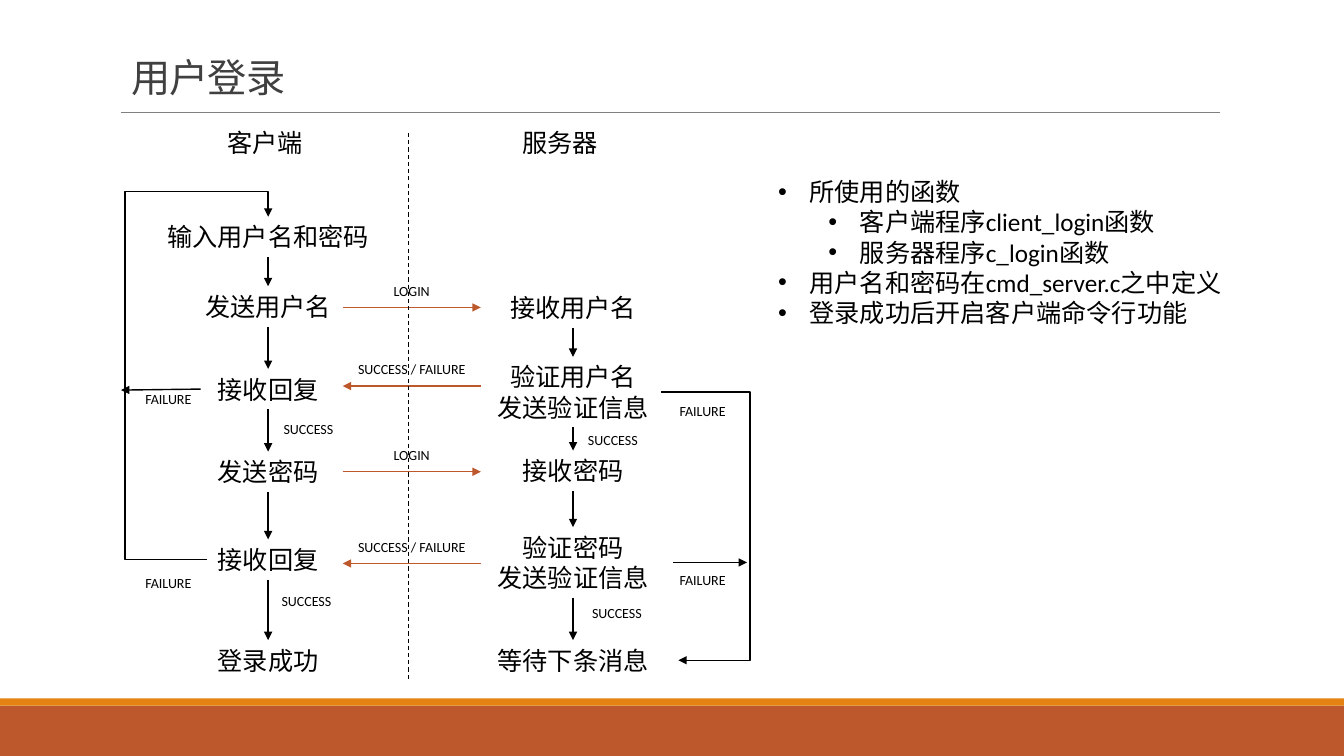
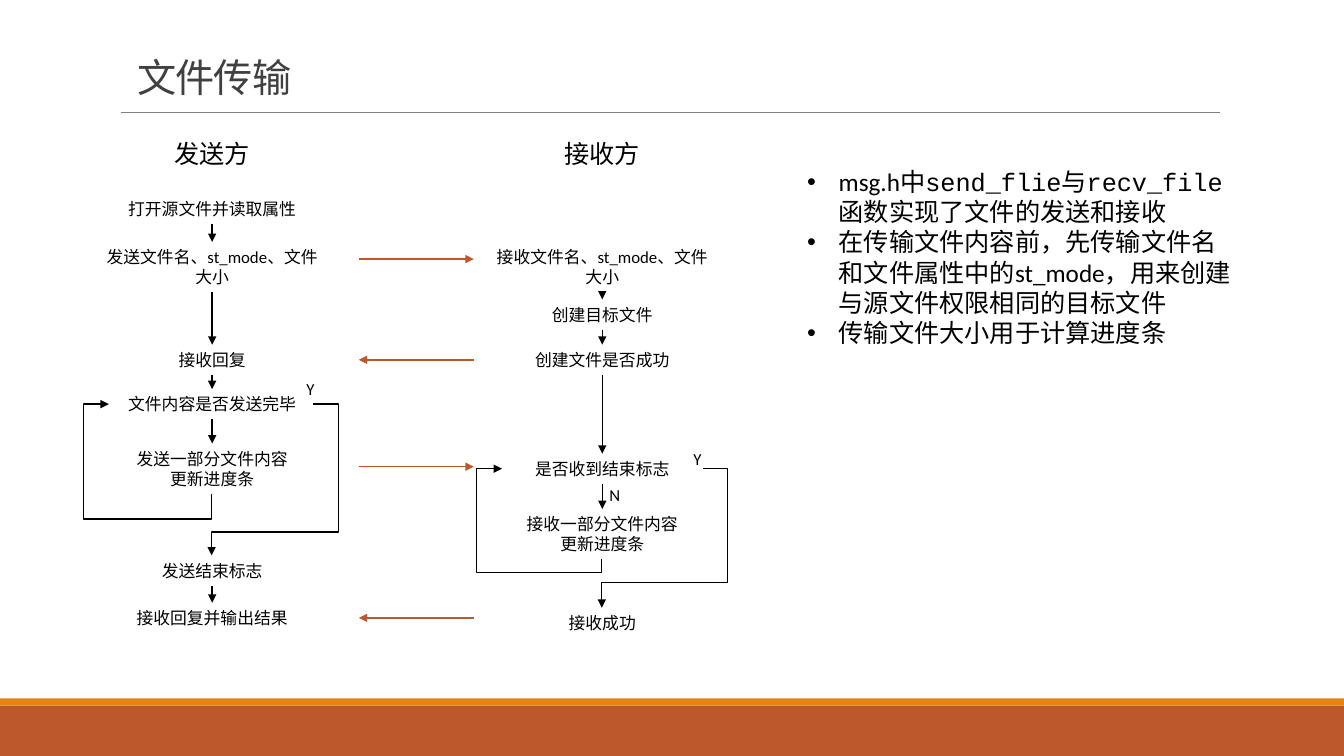
from typing import NamedTuple

from lxml.etree import SubElement
from pptx import Presentation
from pptx.dml.color import RGBColor
from pptx.enum.dml import MSO_LINE
from pptx.enum.shapes import MSO_CONNECTOR as CONNECTOR, MSO_SHAPE as SHAPE
from pptx.enum.text import MSO_ANCHOR as ANCHOR, PP_ALIGN as ALIGN
from pptx.oxml.ns import qn
from pptx.util import Inches, Pt

# All lengths are in cells of a square grid.
CELL = Inches(0.1)
SLIDE_COLUMNS, SLIDE_ROWS = 133.33, 75

BLACK = RGBColor(0x00, 0x00, 0x00)
GREY = RGBColor(0x80, 0x80, 0x80)
TITLE_GREY = RGBColor(0x40, 0x40, 0x40)
RUST = RGBColor(0xBD, 0x58, 0x2C)
ORANGE = RGBColor(0xE4, 0x83, 0x12)

SANS, MONO = "Calibri", "Courier New"
STEP_WIDTH, LABEL_WIDTH = 23.7, 14
BULLET_INDENT, LEVEL_INDENT = 3.12, 5


class Box(NamedTuple):
    left: float
    top: float
    width: float
    height: float

    def point(self, x, y):
        return self.left + x, self.top + y


def cells(*lengths):
    return [round(length * CELL) for length in lengths]


def apply(target, formats):
    for name, value in formats.items():
        setattr(target, name, value)


def text_height(lines, size):
    """Height in cells of a text box with 0.05 inch margins."""
    return lines * size / 6 + 1


def add_run(paragraph, text, size, font=SANS, color=BLACK):
    run = paragraph.add_run()
    run.text = text
    apply(run.font, {"size": Pt(size), "name": font})
    run.font.color.rgb = color
    return run


def add_text_frame(slide, box):
    frame = slide.shapes.add_textbox(*cells(*box)).text_frame
    frame.word_wrap = True
    return frame


def centred_text(slide, centre, top, width, text, size, lines=1):
    box = Box(centre - width / 2, top, width, text_height(lines, size))
    frame = add_text_frame(slide, box)
    for index, line in enumerate(text.split("\n")):
        paragraph = frame.add_paragraph() if index else frame.paragraphs[0]
        paragraph.alignment = ALIGN.CENTER
        add_run(paragraph, line, size)


def style_line(shape, color, width, arrow=False, dash=None):
    shape.line.color.rgb = color
    apply(shape.line, {"width": Pt(width), "dash_style": dash})
    properties = shape.element.spPr
    if arrow:
        SubElement(properties.find(qn("a:ln")), qn("a:tailEnd"), type="triangle")
    SubElement(properties, qn("a:effectLst"))


def add_line(slide, start, end, color=BLACK, width=1, **formats):
    line = slide.shapes.add_connector(CONNECTOR.STRAIGHT, *cells(*start, *end))
    style_line(line, color, width, **formats)
    return line


def add_arrow(slide, points, color=BLACK):
    """Arrow along the points: a straight connector or an angular outline."""
    if len(points) == 2:
        add_line(slide, *points, color, arrow=True)
        return
    start, *corners = [cells(*point) for point in points]
    builder = slide.shapes.build_freeform(*start)
    builder.add_line_segments(corners, close=False)
    outline = builder.convert_to_shape()
    outline.fill.background()
    style_line(outline, BLACK, 1, arrow=True)


def decorate_layout(layout, slide):
    """Draw the bands and the title rule, then move them into the layout."""
    for placeholder in list(layout.placeholders)[1:]:
        layout.shapes.element.remove(placeholder.element)
    decorations = []
    for top, height, color in ((70, 5, RUST), (69.3, 0.7, ORANGE)):
        band = slide.shapes.add_shape(
            SHAPE.RECTANGLE, *cells(0, top, SLIDE_COLUMNS, height))
        band.fill.solid()
        band.fill.fore_color.rgb = color
        band.line.fill.background()
        band.shadow.inherit = False
        decorations.append(band)
    decorations.append(add_line(slide, (12, 11.1), (121, 11.1), GREY, 0.5))
    for shape in decorations:
        layout.shapes.element.append(shape.element)


def set_title(slide, box, text):
    title = slide.shapes.title
    apply(title, dict(zip(("left", "top", "width", "height"), cells(*box))))
    frame = title.text_frame
    apply(frame, {"vertical_anchor": ANCHOR.BOTTOM, "word_wrap": True})
    paragraph = frame.paragraphs[0]
    apply(paragraph, {"alignment": ALIGN.LEFT, "line_spacing": 0.85})
    run = add_run(paragraph, text, 28, color=TITLE_GREY)
    run.font.element.set("spc", "-50") if hasattr(run.font, "element") else \
        paragraph.runs[0].font._element.set("spc", "-50")


def flow_column(slide, box, heading, chains, branches, labels,
                size, label_size, heading_shift=0):
    """Steps as (top, lines, text); an arrow joins the steps of each chain."""
    centre = box.left + box.width / 2
    centred_text(slide, centre + heading_shift, box.top, STEP_WIDTH, heading, 18)
    for chain in chains:
        previous_bottom = None
        for offset, lines, text in chain:
            top = box.top + offset
            centred_text(slide, centre, top, STEP_WIDTH, text, size, lines)
            if previous_bottom is not None:
                add_arrow(slide, [(centre, previous_bottom), (centre, top)])
            previous_bottom = top + text_height(lines, size)
    for branch in branches:
        add_arrow(slide, [box.point(*corner) for corner in branch])
    for x, y, text in labels:
        centred_text(slide, *box.point(x, y), LABEL_WIDTH, text, label_size)


def message_arrows(slide, box, messages):
    """Messages as (row, goes right, label) across the width of the box."""
    for row, goes_right, label in messages:
        ends = [box.point(0, row), box.point(box.width, row)]
        add_arrow(slide, ends if goes_right else ends[::-1], RUST)
        if label:
            centred_text(slide, *box.point(box.width / 2, row - 3),
                         LABEL_WIDTH, label, 10)


def bullet_list(slide, box, items):
    """Items as (level, runs), each run being (text, font)."""
    frame = add_text_frame(slide, box)
    for index, (level, runs) in enumerate(items):
        paragraph = frame.add_paragraph() if index else frame.paragraphs[0]
        paragraph.level = level
        for text, font in runs:
            add_run(paragraph, text, 18, font)
        margin, indent = cells(BULLET_INDENT + level * LEVEL_INDENT, -BULLET_INDENT)
        properties = paragraph._p.get_or_add_pPr()
        properties.set("marL", str(margin))
        properties.set("indent", str(indent))
        SubElement(properties, qn("a:buFont"), typeface="Arial")
        SubElement(properties, qn("a:buChar"), char="•")


def login_slide(slide):
    set_title(slide, Box(12, 0, 110.6, 10.5), "用户登录")
    sizes = {"size": 18, "label_size": 10}
    flow_column(
        slide, Box(12, 12.1, 29.2, 55), "客户端",
        chains=[[(9.4, 1, "输入用户名和密码"), (16.3, 1, "发送用户名"),
                 (24.5, 1, "接收回复"), (32.7, 1, "发送密码"),
                 (41.4, 1, "接收回复"), (51.4, 1, "登录成功")]],
        branches=[[(8.5, 43.4), (0.4, 43.4), (0.4, 6.9), (14.6, 6.9), (14.6, 9.4)],
                  [(7.9, 26.5), (0, 26.6)]],
        labels=[(18.4, 46.2, "SUCCESS"), (18.6, 29.1, "SUCCESS"),
                (4.7, 44.4, "FAILURE"), (4.7, 26.1, "FAILURE")],
        heading_shift=-0.3, **sizes)
    flow_column(
        slide, Box(45, 12.1, 23.7, 55), "服务器",
        chains=[[(16.4, 1, "接收用户名"), (23.3, 2, "验证用户名\n发送验证信息"),
                 (32.6, 1, "接收密码"), (40.2, 2, "验证密码\n发送验证信息"),
                 (51.4, 1, "等待下条消息")]],
        branches=[[(20.6, 26.8), (29.4, 26.8), (29.4, 53.4), (22.3, 53.4)],
                  [(21.8, 43.7), (29.1, 43.7)]],
        labels=[(24.7, 44.1, "FAILURE"), (24.7, 27.3, "FAILURE"),
                (15.8, 30.2, "SUCCESS"), (16.2, 47.4, "SUCCESS")],
        heading_shift=-1.3, **sizes)
    message_arrows(slide, Box(34, 27.3, 13.7, 32), [
        (3.2, True, "LOGIN"), (11, False, "SUCCESS / FAILURE"),
        (19.5, True, "LOGIN"), (28.6, False, "SUCCESS / FAILURE")])
    add_line(slide, (40.5, 13.2), (40.5, 67.5), width=0.75, dash=MSO_LINE.DASH)
    bullet_list(slide, Box(76.2, 17, 46.4, 16.2), [
        (0, [("所使用的函数", SANS)]),
        (1, [("客户端程序client_login函数", SANS)]),
        (1, [("服务器程序c_login函数", SANS)]),
        (0, [("用户名和密码在cmd_server.c之中定义", SANS)]),
        (0, [("登录成功后开启客户端命令行功能", SANS)])])


def transfer_slide(slide):
    set_title(slide, Box(12.6, 4.8, 110, 5.7), "文件传输")
    sizes = {"size": 12, "label_size": 12}
    flow_column(
        slide, Box(8, 13.2, 26.1, 50), "发送方",
        chains=[[(6, 1, "打开源文件并读取属性"),
                 (10.8, 2, "发送文件名、st_mode、文件大小"),
                 (21, 1, "接收回复"), (25.4, 1, "文件内容是否发送完毕"),
                 (30.8, 2, "发送一部分文件内容\n更新进度条")],
                [(41.9, 1, "发送结束标志"), (46.6, 1, "接收回复并输出结果")]],
        branches=[[(23.1, 26.9), (25.6, 26.9), (25.6, 39.6), (13, 39.6), (13, 41.9)],
                  [(13, 35.8), (13, 38.3), (0.3, 38.3), (0.3, 26.9), (2.8, 26.9)]],
        labels=[(22.8, 23.9, "Y")], **sizes)
    flow_column(
        slide, Box(47, 13.2, 25.5, 50), "接收方",
        chains=[[(10.8, 2, "接收文件名、st_mode、文件大小"),
                 (16.5, 1, "创建目标文件"), (21, 1, "创建文件是否成功"),
                 (31.8, 1, "是否收到结束标志"),
                 (37.3, 2, "接收一部分文件内容\n更新进度条")],
                [(47.1, 1, "接收成功")]],
        branches=[[(22.7, 33.3), (25.2, 33.3), (25.2, 44.6), (12.7, 44.6), (12.7, 47.1)],
                  [(12.7, 42.3), (12.7, 43.6), (0.3, 43.6), (0.3, 33.3), (2.8, 33.3)]],
        labels=[(14, 34.4, "N"), (22.2, 30.8, "Y")], **sizes)
    message_arrows(slide, Box(35.6, 24, 11.4, 38), [
        (1.7, True, ""), (11.7, False, ""), (22.3, True, ""), (37.3, False, "")])
    bullet_list(slide, Box(79.1, 16, 44.5, 19.2), [
        (0, [("msg.h中", SANS),
             ("send_flie与recv_file函数实现了文件的发送和接收", MONO)]),
        (0, [("在传输文件内容前，先传输文件名和文件属性中的st_mode，"
              "用来创建与源文件权限相同的目标文件", SANS)]),
        (0, [("传输文件大小用于计算进度条", SANS)])])


def main():
    presentation = Presentation()
    width, height = cells(SLIDE_COLUMNS, SLIDE_ROWS)
    apply(presentation, {"slide_width": width, "slide_height": height})
    layout = presentation.slide_layouts.get_by_name("Title Only")
    slides = [presentation.slides.add_slide(layout) for _ in range(2)]
    decorate_layout(layout, slides[0])
    login_slide(slides[0])
    transfer_slide(slides[1])
    presentation.save("out.pptx")


if __name__ == "__main__":
    main()
